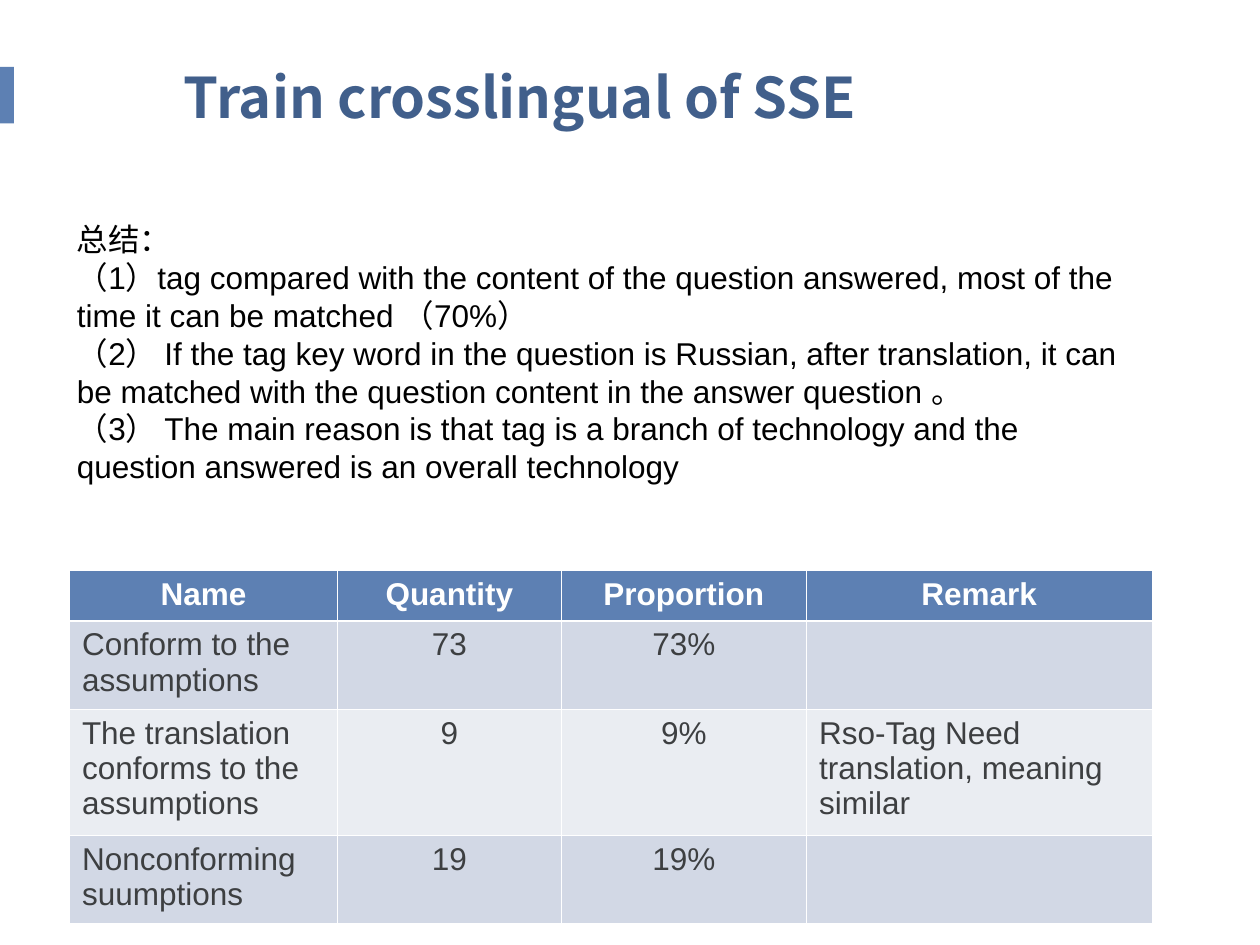
import pptx
import pptx.dml.color
import pptx.enum.shapes
import pptx.enum.text
import pptx.oxml
import pptx.oxml.ns
import pptx.util
from pptx.util import Cm

COLORS = {
    "accent": "5D80B3",
    "title": "415F8B",
    "summary": "000000",
    "cell": "3D3F41",
    "white": "FFFFFF",
    "odd_row": "D2D8E5",
    "even_row": "EAEDF2",
}
LATIN = "Arial"
CJK = "Noto Sans CJK SC"
CENTER = pptx.enum.text.PP_ALIGN.CENTER
LEFT = pptx.enum.text.PP_ALIGN.LEFT

SUMMARY = [
    "总结：",
    "（1）tag compared with the content of the question answered, most of the time it can be matched （70%）",
    "（2） If the tag key word in the question is Russian, after translation, it can be matched with the question content in the answer question 。",
    "（3） The main reason is that tag is a branch of technology and the question answered is an overall technology",
]
RESULTS = [
    ["Name", "Quantity", "Proportion", "Remark"],
    ["Conform to the assumptions", "73", "73%", ""],
    ["The translation conforms to the assumptions", "9", "9%",
     "Rso-Tag Need translation, meaning similar"],
    ["Nonconforming suumptions", "19", "19%", ""],
]
COLUMN_WIDTHS = [5.41, 4.5, 4.95, 6.96]
ROW_HEIGHTS = [1.02, 1.78, 2.54, 1.78]
CENTERED_COLUMNS = (1, 2)


def rgb(name):
    return pptx.dml.color.RGBColor.from_string(COLORS[name])


def add_run(paragraph, text, size, color, bold=False, face=LATIN):
    run = paragraph.add_run()
    run.text = text
    run.font.size = pptx.util.Pt(size)
    run.font.name = face
    run.font.bold = bold
    run.font.color.rgb = rgb(color)
    east_asian = pptx.oxml.parse_xml(
        f'<a:ea {pptx.oxml.ns.nsdecls("a")} typeface="{CJK}"/>')
    run.font._element.find(pptx.oxml.ns.qn("a:latin")).addnext(east_asian)


def add_accent(slide, left, top, width, height):
    accent = slide.shapes.add_shape(
        pptx.enum.shapes.MSO_SHAPE.RECTANGLE, left, top, width, height)
    accent.shadow.inherit = False
    accent.fill.solid()
    accent.fill.fore_color.rgb = rgb("accent")
    accent.line.fill.background()


def add_title(slide, left, top, width, height):
    frame = slide.shapes.add_textbox(left, top, width, height).text_frame
    frame.word_wrap = True
    frame.vertical_anchor = pptx.enum.text.MSO_ANCHOR.BOTTOM
    frame.margin_left = frame.margin_right = 0
    frame.margin_top = frame.margin_bottom = 0
    heading = frame.paragraphs[0]
    heading.alignment = CENTER
    heading.line_spacing = 0.9
    add_run(heading, "Train crosslingual of SSE", 32, "title", True, CJK)


def add_summary(slide, left, top, width, height):
    frame = slide.shapes.add_textbox(left, top, width, height).text_frame
    frame.word_wrap = True
    frame.auto_size = pptx.enum.text.MSO_AUTO_SIZE.SHAPE_TO_FIT_TEXT
    for index, point in enumerate(SUMMARY):
        paragraph = frame.add_paragraph() if index else frame.paragraphs[0]
        add_run(paragraph, point, 18, "summary")


def set_borders(cell, top, bottom):
    widths = {"lnL": 0.45, "lnR": 0.45, "lnT": top, "lnB": bottom}
    properties = cell._tc.get_or_add_tcPr()
    for index, (side, width) in enumerate(widths.items()):
        properties.insert(index, pptx.oxml.parse_xml(
            f'<a:{side} {pptx.oxml.ns.nsdecls("a")} w="{pptx.util.Pt(width)}">'
            f'<a:solidFill><a:srgbClr val="{COLORS["white"]}"/></a:solidFill>'
            f'</a:{side}>'))


def add_results(slide, left, top, width, height):
    results = slide.shapes.add_table(
        len(RESULTS), len(RESULTS[0]), left, top, width, height).table
    for column, column_width in zip(results.columns, COLUMN_WIDTHS):
        column.width = Cm(column_width)
    for row, row_height in zip(results.rows, ROW_HEIGHTS):
        row.height = Cm(row_height)
    for r, values in enumerate(RESULTS):
        header = r == 0
        fill = "accent" if header else "odd_row" if r % 2 else "even_row"
        for c, value in enumerate(values):
            cell = results.cell(r, c)
            cell.fill.solid()
            cell.fill.fore_color.rgb = rgb(fill)
            set_borders(cell, 1.47 if r == 1 else 0.45, 1.47 if header else 0.45)
            if value:
                paragraph = cell.text_frame.paragraphs[0]
                paragraph.alignment = CENTER if header or c in CENTERED_COLUMNS else LEFT
                add_run(paragraph, value, 18, "white" if header else "cell", header)


def main():
    deck = pptx.Presentation()
    deck.slide_width = Cm(25.4)
    deck.slide_height = Cm(19.05)
    slide = deck.slides.add_slide(deck.slide_layouts[6])
    add_accent(slide, Cm(0), Cm(1.35), Cm(0.28), Cm(1.14))
    add_title(slide, Cm(1.24), Cm(0.71), Cm(18.5), Cm(1.93))
    add_summary(slide, Cm(1.3), Cm(4.32), Cm(21.8), Cm(5.6))
    add_results(slide, Cm(1.4), Cm(11.5), Cm(sum(COLUMN_WIDTHS)), Cm(sum(ROW_HEIGHTS)))
    deck.save("out.pptx")


if __name__ == "__main__":
    main()
